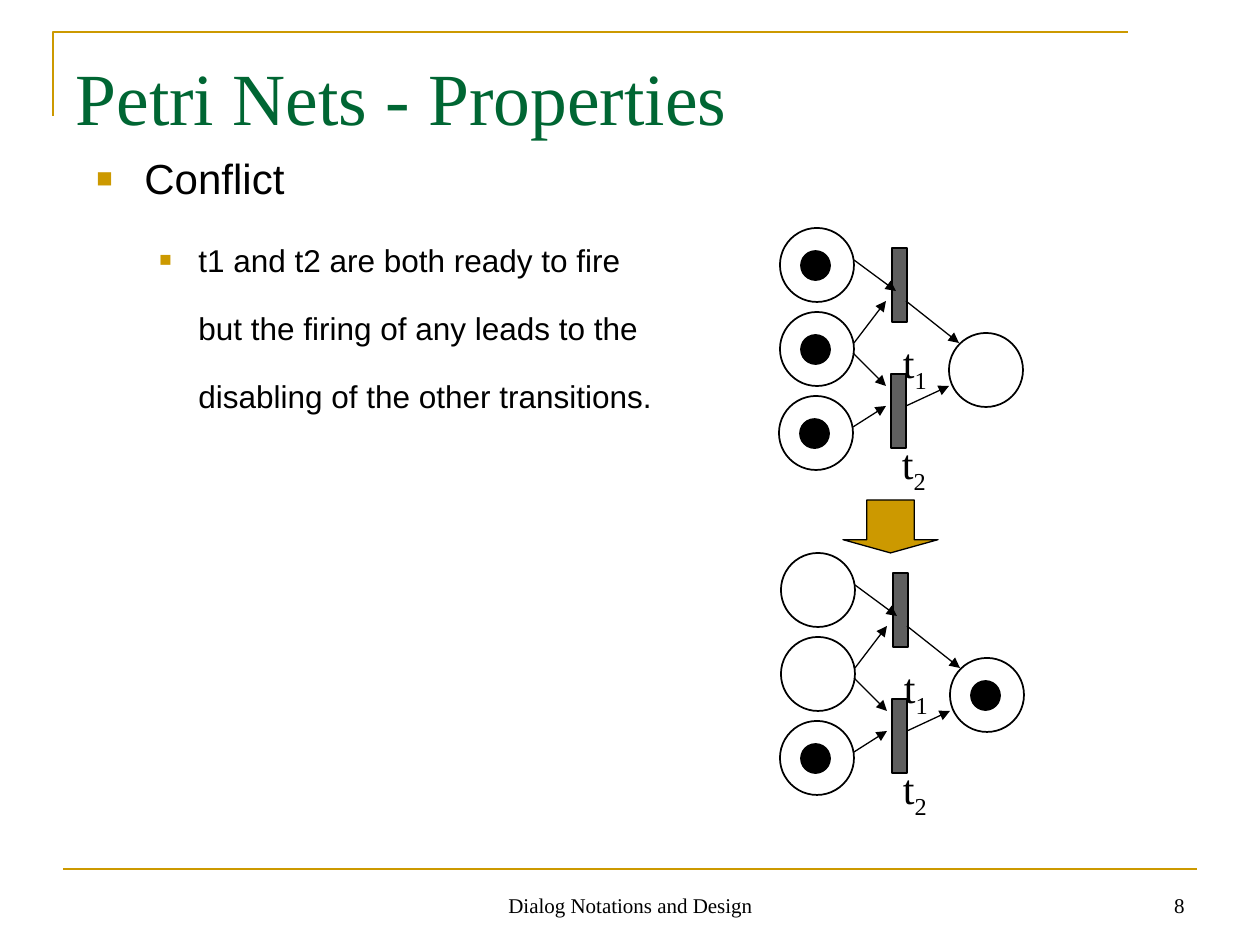
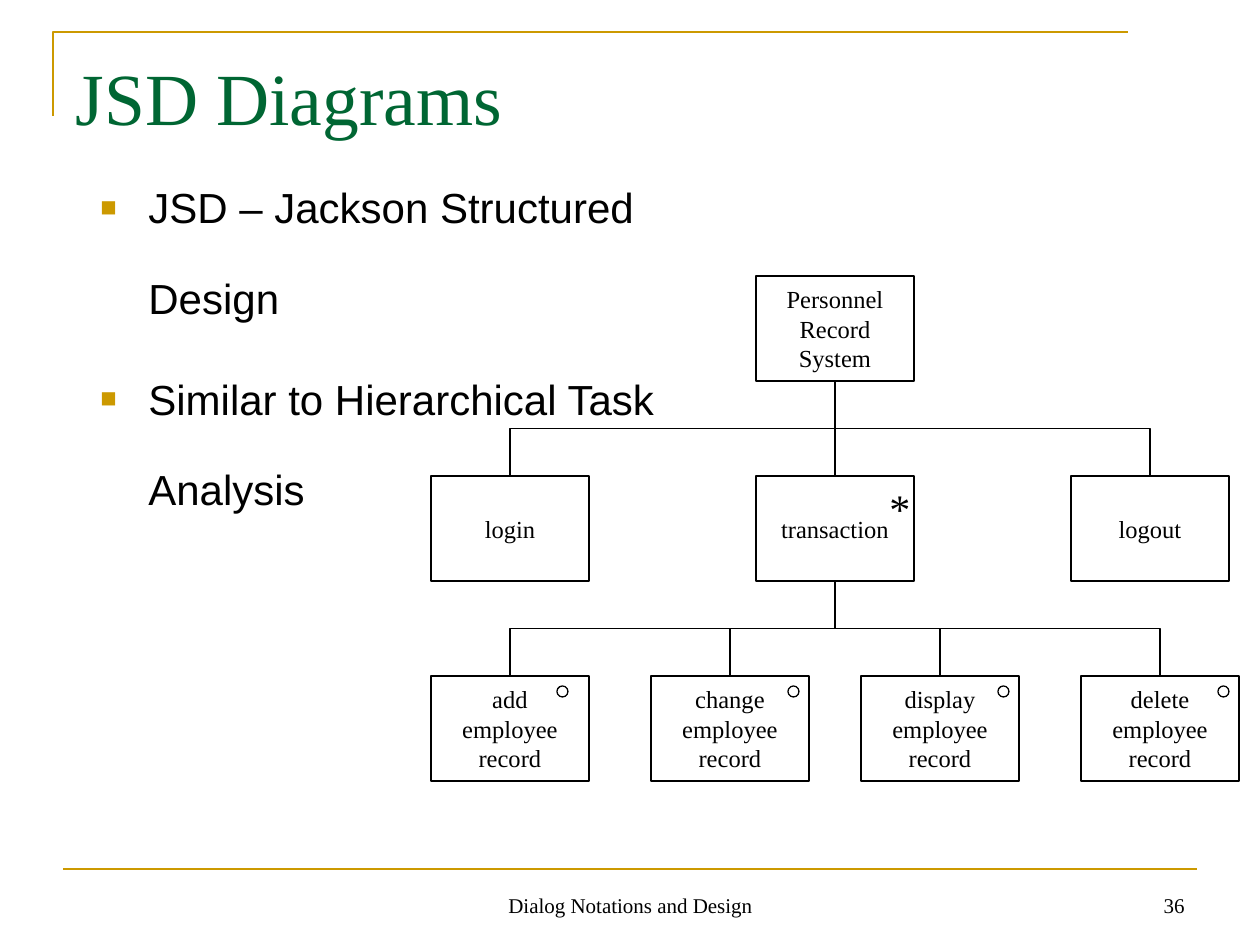
import pptx
import pptx.dml.color
import pptx.enum.shapes
import pptx.enum.text
import pptx.oxml.ns
import pptx.oxml.xmlchemy
import pptx.util
from lxml import etree

RGBColor = pptx.dml.color.RGBColor
SHAPE = pptx.enum.shapes.MSO_SHAPE
CONNECTOR = pptx.enum.shapes.MSO_CONNECTOR
ALIGN = pptx.enum.text.PP_ALIGN
ANCHOR = pptx.enum.text.MSO_ANCHOR
qn = pptx.oxml.ns.qn

GOLD = RGBColor(0xCC, 0x99, 0x00)
GREEN = RGBColor(0x00, 0x66, 0x33)
GRAY = RGBColor(0x5F, 0x5F, 0x5F)
BLACK = RGBColor(0, 0, 0)
WHITE = RGBColor(255, 255, 255)
SERIF, SANS = "Times New Roman", "Arial"

PX_PER_INCH = 126
SCALE = 914400 / PX_PER_INCH
TITLE_ONLY = 5
BOTTOM, TOP = 2, 0  # connection sites of a rectangle

# Left indent and hanging indent (px), space before (pt) for each bullet level
BULLET_LEVELS = [(48, 48, 6), (102, 39, 4.5)]


def px(length):
    return pptx.util.Emu(round(length * SCALE))


def write(paragraph, text, size=14, font=SERIF, color=BLACK, align=ALIGN.LEFT, subscript=""):
    paragraph.alignment = align
    for index, line in enumerate(text.split("\n")):
        if index:
            paragraph.add_line_break()
        paragraph.add_run().text = line
    if subscript:
        lowered = paragraph.add_run()
        lowered.text = subscript
        lowered.font._element.set("baseline", "-25000")
    for run in paragraph.runs:
        run.font.size = pptx.util.Pt(size)
        run.font.name = font
        run.font.color.rgb = color


class Deck:
    def __init__(self):
        self.presentation = pptx.Presentation()
        self.presentation.slide_width = px(10 * PX_PER_INCH)
        self.presentation.slide_height = px(7.5 * PX_PER_INCH)
        self.slide = None

    def start_slide(self, title, number):
        """Add a slide with its title, gold rules and footer."""
        layout = self.presentation.slide_layouts[TITLE_ONLY]
        self.slide = self.presentation.slides.add_slide(layout)
        self.corner_rule([(53, 116), (53, 32), (1128, 32)])
        self.line((63, 869), (1197, 869), color=GOLD, width=1.5)
        heading = self.slide.shapes.title
        heading.left, heading.top, heading.width, heading.height = map(px, (63, 38, 1134, 158))
        frame = heading.text_frame
        frame.vertical_anchor = ANCHOR.TOP
        frame.margin_top = px(14)
        write(frame.paragraphs[0], title, size=42, color=GREEN)
        self.text((431, 861, 399, 63), "Dialog Notations and Design",
                  anchor=ANCHOR.BOTTOM, size=12, align=ALIGN.CENTER)
        self.text((903, 861, 294, 63), str(number),
                  anchor=ANCHOR.BOTTOM, size=12, align=ALIGN.RIGHT)

    def corner_rule(self, points):
        builder = self.slide.shapes.build_freeform(*points[0], scale=SCALE)
        builder.add_line_segments(points[1:], close=False)
        rule = builder.convert_to_shape()
        rule.shadow.inherit = False
        rule.fill.background()
        rule.line.color.rgb = GOLD
        rule.line.width = pptx.util.Pt(1.5)

    def text_frame(self, box, anchor=ANCHOR.TOP, inset=True):
        frame = self.slide.shapes.add_textbox(*map(px, box)).text_frame
        frame.word_wrap = True
        frame.vertical_anchor = anchor
        if not inset:
            frame.margin_left = frame.margin_top = frame.margin_right = frame.margin_bottom = 0
        return frame

    def text(self, box, text, anchor=ANCHOR.TOP, inset=True, **style):
        write(self.text_frame(box, anchor, inset).paragraphs[0], text, **style)

    def bullets(self, box, items):
        """Write (level, size, text) items as a list with square gold bullets."""
        frame = self.text_frame(box)
        for index, (level, size, text) in enumerate(items):
            paragraph = frame.add_paragraph() if index else frame.paragraphs[0]
            indent, hanging, space = BULLET_LEVELS[level]
            properties = paragraph._p.get_or_add_pPr()
            properties.set("marL", str(px(indent)))
            properties.set("indent", str(px(-hanging)))
            color = etree.SubElement(properties, qn("a:buClr"))
            etree.SubElement(color, qn("a:srgbClr"), val=str(GOLD))
            etree.SubElement(properties, qn("a:buSzPct"), val="65000")
            etree.SubElement(properties, qn("a:buFont"), typeface=SANS)
            etree.SubElement(properties, qn("a:buChar"), char="■")
            paragraph.level = level
            paragraph.line_spacing = 1.8
            if index:
                paragraph.space_before = pptx.util.Pt(space)
            write(paragraph, text, size=size, font=SANS)

    def shape(self, kind, box, fill=None, width=1.0):
        shape = self.slide.shapes.add_shape(kind, *map(px, box))
        shape.shadow.inherit = False
        if fill is None:
            shape.fill.background()
        else:
            shape.fill.solid()
            shape.fill.fore_color.rgb = fill
        shape.line.color.rgb = BLACK
        shape.line.width = pptx.util.Pt(width)
        return shape

    def line(self, start, end, kind=CONNECTOR.STRAIGHT, color=BLACK, width=0.75, arrow=False):
        line = self.slide.shapes.add_connector(kind, *map(px, (*start, *end)))
        line.line.color.rgb = color
        line.line.width = pptx.util.Pt(width)
        if arrow:
            etree.SubElement(line.line._get_or_add_ln(), qn("a:tailEnd"), type="triangle")
        etree.SubElement(line._element.spPr, qn("a:effectLst"))
        return line

    def branch(self, parent, child):
        """Join the bottom of one box to the top of a lower one."""
        start_x = parent.left + parent.width // 2
        run = child.left + child.width // 2 - start_x
        kind = CONNECTOR.ELBOW if run else CONNECTOR.STRAIGHT
        link = self.line((0, 0), (1, 1), kind)
        link.begin_connect(parent, BOTTOM)
        link.end_connect(child, TOP)
        if run:
            # An elbow leaves sideways by default, so it is turned a quarter
            start_y = parent.top + parent.height
            drop = child.top - start_y
            link.left = start_x + (run - drop) // 2
            link.top = start_y + (drop - abs(run)) // 2
            link.width, link.height = drop, abs(run)
            transform = link._element.spPr.find(qn("a:xfrm"))
            transform.set("rot", "16200000" if run > 0 else "5400000")
            transform.set("flipH", "1" if run > 0 else "0")
            transform.set("flipV", "0")

    def petri_net(self, x, y, marked):
        """Draw the net at (x, y), with a token in each marked place."""
        places = [(0, 0), (0, 84), (-1, 168), (169, 105)]
        transitions = [("1", 112, 20, 89), ("2", 111, 146, 64)]
        arcs = [((74, 32), (116, 63)), ((126, 73), (179, 115)),
                ((74, 115), (106, 73)), ((73, 125), (106, 158)),
                ((73, 199), (106, 178)), ((126, 178), (169, 158))]
        for number, dx, dy, label_drop in transitions:
            self.shape(SHAPE.RECTANGLE, (x + dx, y + dy, 15, 74), GRAY, 0.75)
            self.text((x + dx + 11, y + dy + label_drop, 40, 50), "t",
                      inset=False, size=24, subscript=number)
        for (x1, y1), (x2, y2) in arcs:
            self.line((x + x1, y + y1), (x + x2, y + y2), arrow=True)
        for index, (dx, dy) in enumerate(places):
            self.shape(SHAPE.OVAL, (x + dx, y + dy, 74, 74))
            if index in marked:
                self.shape(SHAPE.OVAL, (x + dx + 21, y + dy + 23, 29, 29), BLACK)

    def task(self, left, top, name):
        box = self.shape(SHAPE.RECTANGLE, (left, top, 158, 105), WHITE)
        frame = box.text_frame
        frame.word_wrap = False
        frame.vertical_anchor = ANCHOR.MIDDLE
        write(frame.paragraphs[0], name, align=ALIGN.CENTER)
        return box


def build_petri_slide(deck):
    deck.start_slide("Petri Nets - Properties", 8)
    deck.bullets((84, 106, 596, 378), [
        (0, 24, "Conflict"),
        (1, 18, "t1 and t2 are both ready to fire but the firing of any leads to "
                "the disabling of the other transitions."),
    ])
    deck.petri_net(780, 228, marked={0, 1, 2})
    firing = deck.shape(SHAPE.DOWN_ARROW, (843, 500, 95, 53), GOLD, 0.75)
    firing.adjustments[0], firing.adjustments[1] = 0.5, 0.25
    deck.petri_net(781, 553, marked={2, 3})


def build_jsd_slide(deck):
    deck.start_slide("JSD Diagrams", 36)
    deck.bullets((88, 135, 682, 680), [
        (0, 24, "JSD – Jackson Structured Design"),
        (0, 24, "Similar to Hierarchical Task Analysis"),
    ])
    root_top, step_top, action_top = range(276, 677, 200)
    system = deck.task(756, root_top, "Personnel\nRecord\nSystem")
    login, transaction, logout = [
        deck.task(left, step_top, name)
        for left, name in [(431, "login"), (756, "transaction"), (1071, "logout")]]
    for step in (login, transaction, logout):
        deck.branch(system, step)
    deck.text((877, step_top, 57, 63), "*", size=24)
    actions = [("add", 431, 126), ("change", 651, 137),
               ("display", 861, 137), ("delete", 1081, 137)]
    for verb, left, option_dx in actions:
        action = deck.task(left, action_top, f"{verb}\nemployee\nrecord")
        deck.shape(SHAPE.OVAL, (left + option_dx, action_top + 10, 11, 11), WHITE, 0.75)
        deck.branch(transaction, action)


def main():
    deck = Deck()
    build_petri_slide(deck)
    build_jsd_slide(deck)
    deck.presentation.save("out.pptx")


if __name__ == "__main__":
    main()
